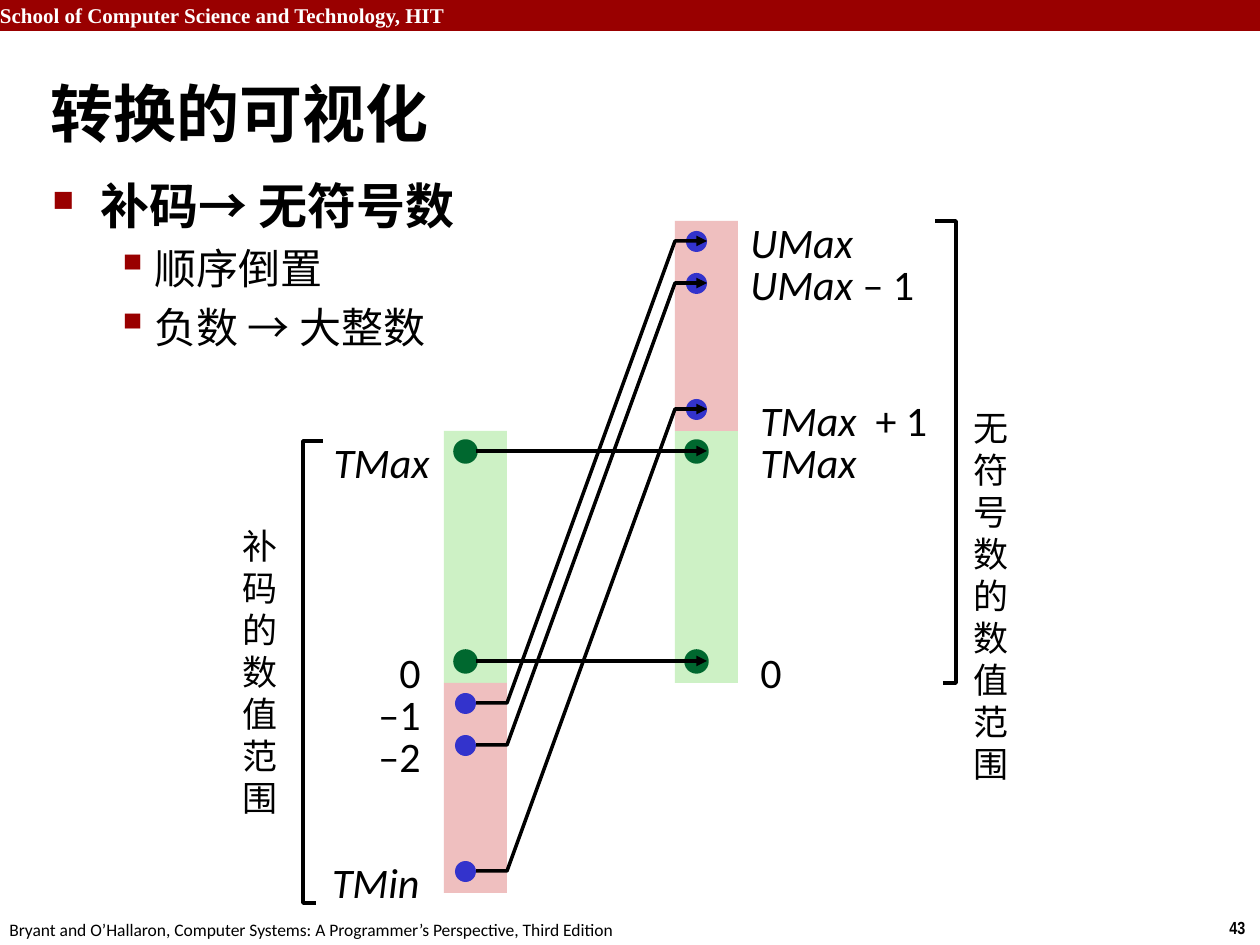
from dataclasses import dataclass

from lxml import etree
from pptx import Presentation
from pptx import util as u
from pptx.dml.color import RGBColor
from pptx.enum import shapes, text
from pptx.oxml import ns

SCALE = 914400 / 126  # EMU in one px


@dataclass(frozen=True)
class Theme:
    red: str = "990000"
    white: str = "FFFFFF"
    ink: str = "000000"
    green: str = "CDF1C5"
    pink: str = "EFBFBF"
    leaf: str = "00682F"
    blue: str = "3333CC"
    font: str = "Calibri"
    serif: str = "Times New Roman"
    narrow: str = "Arial Narrow"
    title: int = 36
    head: int = 28
    label: int = 24
    side: int = 20
    school: int = 12
    foot: int = 10


T = Theme()
LEFT, RIGHT = text.PP_ALIGN.LEFT, text.PP_ALIGN.RIGHT
STEP = 42                     # one row of the number scale
TOP = 220                     # top of row 0
DOT = 21
BAR = 63
SIGNED, UNSIGNED = 444, 675   # left edges of the two bars
DOT_IN = 11                   # dot inset within its bar


def px(n):
    return u.Emu(round(n * SCALE))


def mid(row):
    return TOP + STEP * row + STEP // 2


def rgb(code):
    return RGBColor.from_string(code)


def block(page, kind, x, y, w, h, fill, edge=None):
    shape = page.add_shape(kind, px(x), px(y), px(w), px(h))
    shape.shadow.inherit = False
    shape.fill.solid()
    shape.fill.fore_color.rgb = rgb(fill)
    if edge:
        shape.line.color.rgb = rgb(edge)
        shape.line.width = u.Pt(2)
    else:
        shape.line.fill.background()


def style(run, size, color=T.ink, font=T.font, bold=False, italic=False):
    f = run.font
    f.size, f.name, f.bold, f.italic = u.Pt(size), font, bold, italic
    f.color.rgb = rgb(color)


def frame(page, x, y, w, h, far=0, align=LEFT):
    """Text frame whose inset on the side away from the text is far px."""
    tf = page.add_textbox(px(x), px(y), px(w), px(h)).text_frame
    tf.word_wrap = True
    if align == RIGHT:
        tf.margin_left = px(far)
    else:
        tf.margin_right = px(far)
    tf.paragraphs[0].alignment = align
    return tf


def write(page, words, x, y, w, h, size, far=0, align=LEFT, **look):
    tf = frame(page, x, y, w, h, far, align)
    tf.text = words
    style(tf.paragraphs[0].runs[0], size, **look)
    return tf


def label(page, name, rest, x, y, w, align=LEFT):
    """Italic name followed by upright rest."""
    para = frame(page, x, y, w, 64, align=align).paragraphs[0]
    for part, slant in ((name, True), (rest, False)):
        if part:
            run = para.add_run()
            run.text = part
            style(run, T.label, italic=slant)


def stroke(shape, arrow):
    shape.line.color.rgb = rgb(T.ink)
    shape.line.width = u.Pt(2)
    if arrow:
        end = etree.SubElement(shape.line._get_or_add_ln(), ns.qn("a:tailEnd"))
        end.set("type", "triangle")


def trace(page, points, arrow=False):
    pen = page.build_freeform(*points[0], scale=SCALE)
    pen.add_line_segments(points[1:], close=False)
    shape = pen.convert_to_shape()
    shape.shadow.inherit = False
    shape.fill.background()
    stroke(shape, arrow)


def line(page, x1, x2, y):
    wire = page.add_connector(shapes.MSO_CONNECTOR.STRAIGHT,
                              px(x1), px(y), px(x2), px(y))
    stroke(wire, True)
    etree.SubElement(wire._element.spPr, ns.qn("a:effectLst"))


def bullet(para, mark, size, left, hang):
    props = para._p.get_or_add_pPr()
    props.set("marL", str(px(left)))
    props.set("indent", str(-px(hang)))
    color = etree.SubElement(props, ns.qn("a:buClr"))
    etree.SubElement(color, ns.qn("a:srgbClr")).set("val", T.red)
    etree.SubElement(props, ns.qn("a:buSzPct")).set("val", str(size * 1000))
    etree.SubElement(props, ns.qn("a:buChar")).set("char", mark)


def outline(page):
    tf = frame(page, 40, 169, 573, 237)
    lines = ("补码→ 无符号数", "顺序倒置", "负数 → 大整数")
    tf.text = "\n".join(lines)
    for i, para in enumerate(tf.paragraphs):
        size = T.label if i else T.head
        para.space_before = u.Pt(size * 0.2)
        style(para.runs[0], size, bold=not i)
        if i:
            para.level = 1
            bullet(para, "▪", 110, 102, 39)
        else:
            bullet(para, "■", 60, 48, 48)


def bars(page):
    rect = shapes.MSO_SHAPE.RECTANGLE
    for x, first, rows, fill in ((UNSIGNED, 5, 6, T.green),
                                 (SIGNED, 5, 6, T.green),
                                 (SIGNED, 11, 5, T.pink),
                                 (UNSIGNED, 0, 5, T.pink)):
        block(page, rect, x, TOP + 1 + first * STEP, BAR, rows * STEP, fill)


def dots(page):
    for x, rows in ((SIGNED, (5, 10, 11, 12, 15)),
                    (UNSIGNED, (0, 1, 4, 5, 10))):
        for row in rows:
            keep = row in (5, 10)
            block(page, shapes.MSO_SHAPE.OVAL, x + DOT_IN, mid(row) - 10,
                  DOT, DOT, T.leaf if keep else T.blue, T.leaf if keep else None)


def links(page):
    start, end = SIGNED + DOT_IN + DOT, UNSIGNED + DOT_IN + DOT
    for row in (5, 10):
        line(page, start, UNSIGNED + 32, mid(row))
    for low, high in ((11, 0), (12, 1), (15, 4)):
        trace(page, [(start, mid(low)), (SIGNED + BAR, mid(low)),
                     (UNSIGNED, mid(high)), (end, mid(high))], arrow=True)


def labels(page):
    for name, rest, row, edge in (("TMax", "", 5, 442), ("", "0", 10, 433),
                                  ("", "–1", 11, 433), ("", "–2", 12, 433),
                                  ("TMin", "", 15, 432)):
        label(page, name, rest, edge - 122, mid(row) - 21, 122, RIGHT)
    for name, rest, row, x, lift in (("UMax", "", 0, 738, 31),
                                     ("UMax", " – 1", 1, 738, 31),
                                     ("TMax", "  + 1", 4, 748, 21),
                                     ("TMax", "", 5, 748, 21),
                                     ("", "0", 10, 748, 21)):
        label(page, name, rest, x, mid(row) - lift, 196)


def ranges(page):
    write(page, "补码的数值范围", 231, 518, 60, 310, T.side, 12, RIGHT)
    write(page, "无符号数的数值范围", 961, 400, 87, 394, T.side, 12)
    trace(page, [(316, 903), (303, 903), (303, 441), (323, 441)])
    trace(page, [(943, 683), (956, 683), (956, 221), (935, 221)])


def edges(page):
    block(page, shapes.MSO_SHAPE.RECTANGLE, 0, 0, 1260, 31, T.red)
    write(page, "School of Computer Science and Technology, HIT", 0, -4, 1260, 38,
          T.school, align=RIGHT, color=T.white, font=T.serif, bold=True)
    write(page, "43", 1217, 911, 43, 34, T.foot, font=T.narrow, bold=True)
    write(page, "Bryant and O’Hallaron, Computer Systems: "
          "A Programmer’s Perspective, Third Edition", -3, 913, 640, 34, T.foot)


def main():
    deck = Presentation()
    deck.slide_width, deck.slide_height = px(1260), px(945)
    page = deck.slides.add_slide(deck.slide_layouts[6]).shapes
    for draw in (edges, bars, dots, links, labels, ranges):
        draw(page)
    title = write(page, "转换的可视化", 38, 73, 1095, 79, T.title, bold=True)
    title.vertical_anchor = text.MSO_ANCHOR.MIDDLE
    outline(page)
    deck.save("out.pptx")


if __name__ == "__main__":
    main()
